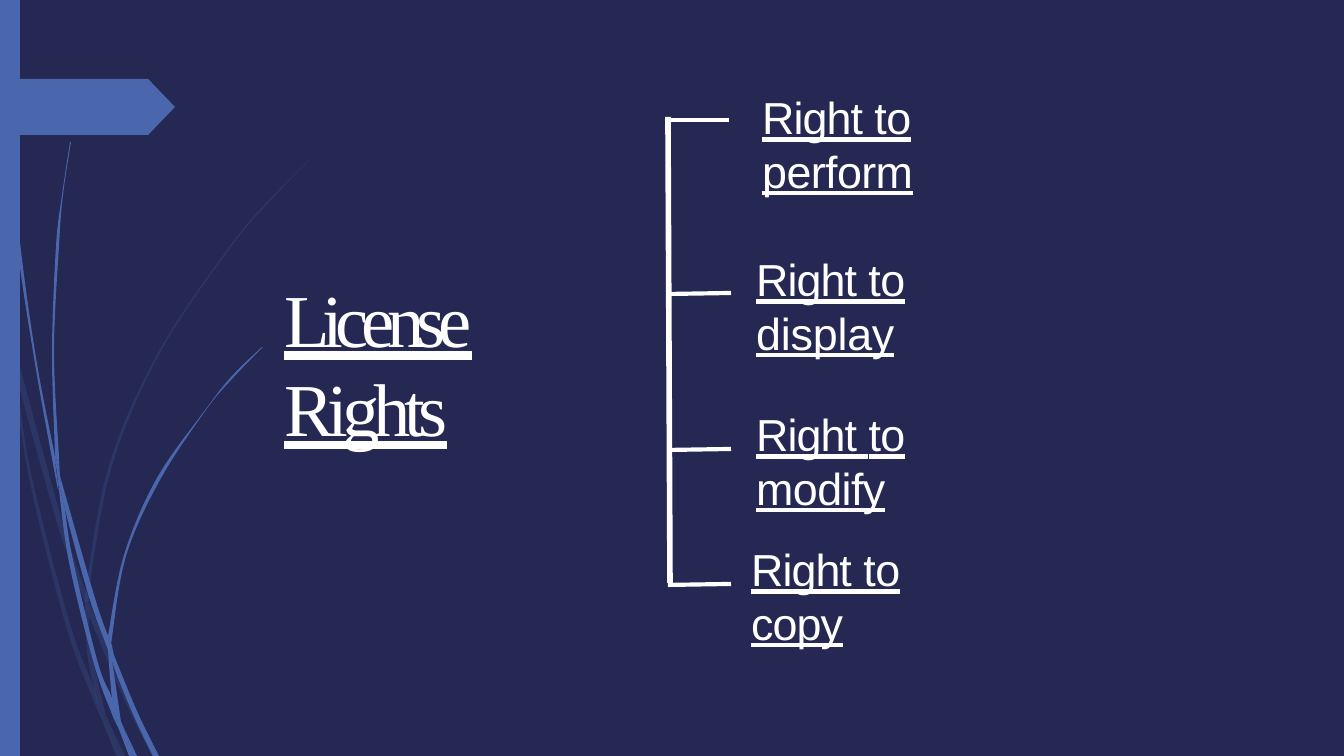
from lxml import etree
from pptx import Presentation
from pptx import util as u
from pptx.dml.color import RGBColor
from pptx.enum import shapes, text
from pptx.oxml.ns import qn

NAVY = RGBColor(0x24, 0x28, 0x52)
BLUE = RGBColor(0x4A, 0x66, 0xAC)
DUSK = RGBColor(0x38, 0x4C, 0x81)
WHITE = RGBColor(0xFF, 0xFF, 0xFF)
STEPS = 6

FAINT = [
    ([(11, 353), (8, 324), (0, 284)], [(0, 301), (11, 347)]),
    ([(17, 379), (58, 526), (85, 603)], [(86, 591), (63, 524), (15, 348)]),
    ([(89, 616), (124, 699), (152, 756)],
     [(156, 756), (128, 698), (93, 612), (89, 601)]),
    ([(106, 716), (120, 756)], [(125, 756), (106, 716)]),
    ([(11, 353), (28, 473), (66, 626), (93, 699), (102, 720)],
     [(99, 712), (94, 688), (70, 624), (31, 473), (17, 379)]),
    ([(85, 603), (87, 652), (94, 688), (97, 698), (106, 716)],
     [(105, 712), (91, 650), (89, 616), (89, 613)]),
    ([(314, 155), (270, 199), (230, 246), (159, 351), (109, 465), (86, 589), (89, 601)],
     [(89, 589), (112, 466), (161, 351), (231, 247), (271, 200), (314, 155)]),
    ([(102, 720), (116, 756)], [(120, 756), (102, 720)]),
    ([(86, 591), (85, 603), (89, 613)], [(89, 616), (89, 601)]),
    ([(94, 688), (99, 712), (102, 720), (119, 756)],
     [(120, 756), (106, 716), (97, 698)]),
]
BRIGHT = [
    ([(3, 0), (7, 110), (16, 235), (34, 358), (56, 480), (58, 485)],
     [(55, 461), (55, 457), (36, 358), (19, 234), (8, 110), (4, 0)]),
    ([(60, 476), (65, 509), (89, 597), (108, 650)],
     [(108, 636), (94, 595), (60, 476)]),
    ([(112, 646), (112, 661), (133, 714), (153, 756)],
     [(159, 756), (137, 711), (114, 655)]),
    ([(58, 481), (69, 562), (94, 664), (112, 714), (118, 727)],
     [(117, 723), (112, 698), (98, 663), (73, 560), (65, 509)]),
    ([(71, 142), (63, 195), (59, 246), (54, 352), (59, 457), (60, 476)],
     [(55, 453), (52, 352), (56, 246), (62, 195), (70, 142)]),
    ([(122, 724), (134, 756)], [(137, 756), (122, 724)]),
    ([(55, 453), (55, 457), (58, 481)], [(65, 509), (60, 476)]),
    ([(263, 347), (233, 378), (206, 410), (160, 480), (126, 556), (112, 638), (112, 646)],
     [(108, 636), (124, 555), (157, 478), (206, 409), (232, 376), (262, 347)]),
    ([(118, 727), (129, 756)], [(132, 756), (118, 727)]),
    ([(108, 650), (112, 698), (117, 712), (122, 724)],
     [(121, 722), (112, 661), (109, 656)]),
    ([(108, 636), (108, 650), (109, 656)], [(112, 661), (112, 646)]),
    ([(112, 698), (117, 723), (118, 727), (132, 756)],
     [(134, 756), (122, 724), (117, 712)]),
]
TITLE = [("License", -400), (" ", -390), ("Rights", -340)]
LEAD = [("Right ", -50), ("to", -30), (" ", -210)]
RIGHTS = [
    (("copy", -50), 738, 535, 280),
    (("modify", -30), 743, 400, 317),
    (("display", -10), 743, 245, 327),
    (("perform", -30), 749, 83, 337),
]
BRANCHES = [(671, 120, 729, 120), (668, 294, 731, 293),
            (668, 450, 731, 449), (668, 585, 731, 584)]


def px(n):
    return round(n * 914400 / 134.4)


def curve(points):
    ends = [points[0], *points, points[-1]]
    out = []
    for a, b, c, d in zip(ends, ends[1:], ends[2:], ends[3:]):
        for i in range(STEPS):
            t = i / STEPS
            out.append(tuple(
                b[k] + (c[k] - a[k]) * t / 2
                + (2 * a[k] - 5 * b[k] + 4 * c[k] - d[k]) * t ** 2 / 2
                + (3 * b[k] - a[k] - 3 * c[k] + d[k]) * t ** 3 / 2
                for k in (0, 1)))
    return out + [points[-1]]


def paint(shape, color, alpha=None):
    shape.shadow.inherit = False
    shape.line.fill.background()
    shape.fill.solid()
    shape.fill.fore_color.rgb = color
    if alpha:
        tint = shape.fill._xPr.find(".//" + qn("a:srgbClr"))
        etree.SubElement(tint, qn("a:alpha")).set("val", str(alpha * 1000))


def strand(slide, edges, color, alpha=None):
    dots = [(px(x), px(y)) for edge in edges for x, y in curve(edge)]
    pen = slide.shapes.build_freeform(*dots[0])
    pen.add_line_segments(dots[1:], close=True)
    paint(pen.convert_to_shape(), color, alpha)


def block(slide, kind, *box):
    shape = slide.shapes.add_shape(kind, *map(px, box))
    paint(shape, BLUE)
    return shape


def rule(slide, ends, width):
    line = slide.shapes.add_connector(shapes.MSO_CONNECTOR.STRAIGHT, *map(px, ends))
    line.line.color.rgb = WHITE
    line.line.width = u.Pt(width)
    etree.SubElement(line._element.spPr, qn("a:effectLst"))


def label(shape, parts, box, font, size):
    shape.left, shape.top, shape.width, shape.height = map(px, box)
    frame = shape.text_frame
    frame.word_wrap = True
    frame.auto_size = text.MSO_AUTO_SIZE.SHAPE_TO_FIT_TEXT
    frame.vertical_anchor = text.MSO_ANCHOR.TOP
    frame.margin_right = px(34)
    para = frame.paragraphs[0]
    para.alignment = text.PP_ALIGN.LEFT
    para.space_before = u.Pt(1)
    for words, gap in parts:
        run = para.add_run()
        run.text = words
        run._r.get_or_add_rPr().set("spc", str(gap))
    para.font.name = font
    para.font.size = u.Pt(size)
    para.font.underline = text.MSO_UNDERLINE.HEAVY_LINE
    para.font.color.rgb = WHITE


def main():
    deck = Presentation()
    deck.slide_width, deck.slide_height = px(1344), px(756)
    slide = deck.slides.add_slide(deck.slide_layouts[5])
    slide.background.fill.solid()
    slide.background.fill.fore_color.rgb = NAVY
    for edges in FAINT:
        strand(slide, edges, DUSK, 40)
    for edges in BRIGHT:
        strand(slide, edges, BLUE)
    block(slide, shapes.MSO_SHAPE.RECTANGLE, 0, 0, 20, 756)
    tag = block(slide, shapes.MSO_SHAPE.PENTAGON, 0, 79, 175, 56)
    tag.adjustments[0] = 0.48
    label(slide.shapes.title, TITLE, (271, 266, 380, 103), "Times New Roman", 40)
    rule(slide, (668, 117, 670, 583), 3)
    for ends in BRANCHES:
        rule(slide, ends, 2.25)
    for last, left, top, width in RIGHTS:
        box = (left, top, width, 67)
        shape = slide.shapes.add_textbox(*map(px, box))
        label(shape, [*LEAD, last], box, "Arial", 24)
    deck.save("out.pptx")


main()
